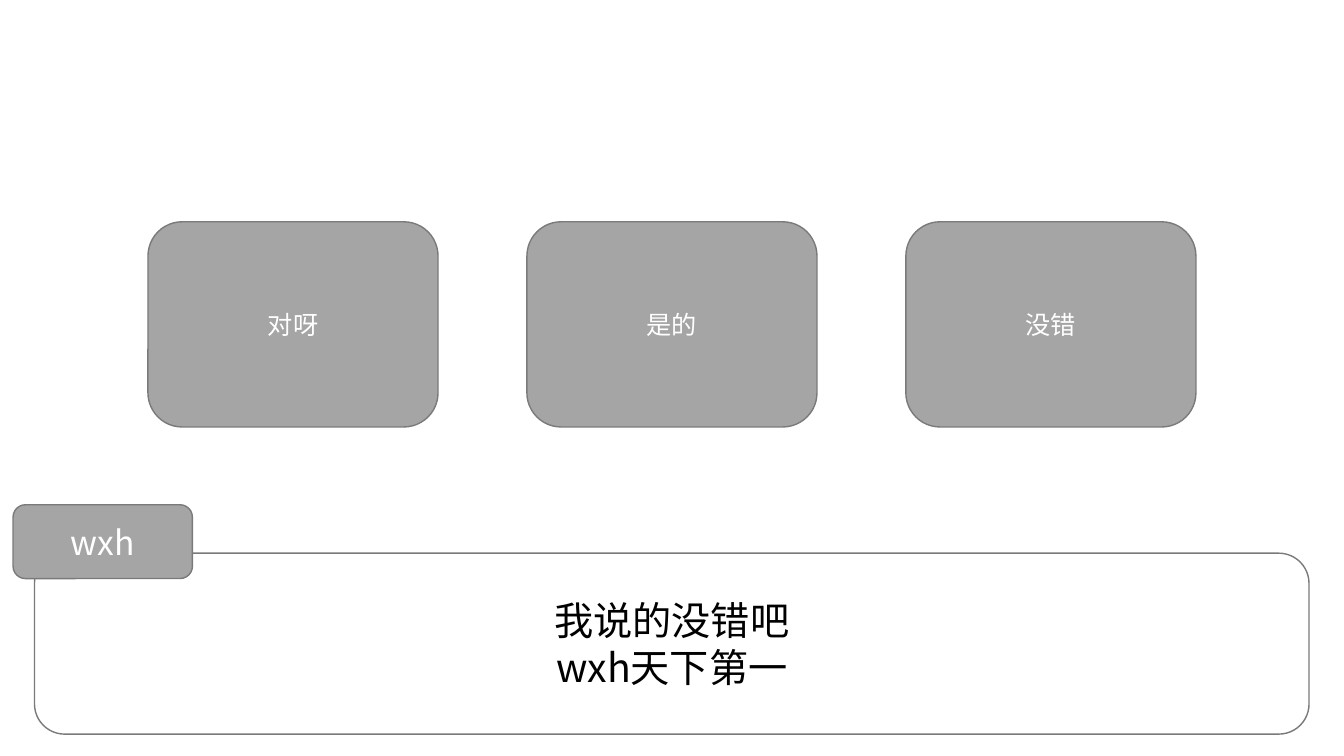
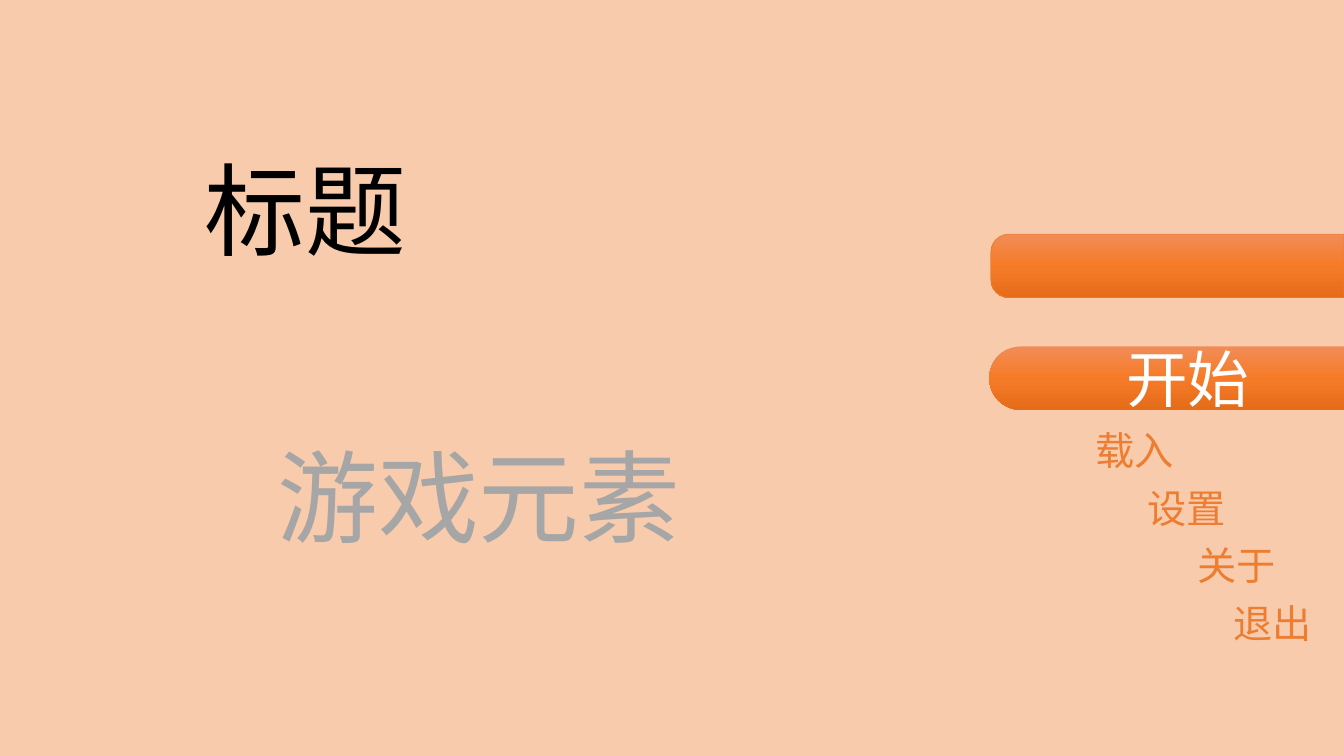
from lxml import etree
from pptx import Presentation
from pptx.dml.color import RGBColor
from pptx.enum.shapes import MSO_SHAPE
from pptx.enum.text import MSO_ANCHOR, MSO_AUTO_SIZE, PP_ALIGN
from pptx.oxml.ns import qn
from pptx.util import Cm, Pt

ROUNDED = MSO_SHAPE.ROUNDED_RECTANGLE
TOP_ROUNDED = MSO_SHAPE.ROUND_2_SAME_RECTANGLE
MIDDLE = MSO_ANCHOR.MIDDLE
TOP = MSO_ANCHOR.TOP
CENTER = PP_ALIGN.CENTER
LEFT = PP_ALIGN.LEFT
NO_AUTOFIT = MSO_AUTO_SIZE.NONE

FONT = "Noto Sans CJK SC"
WHITE = RGBColor(0xFF, 0xFF, 0xFF)
BLACK = RGBColor(0x00, 0x00, 0x00)
GRAY = RGBColor(0xA5, 0xA5, 0xA5)
LIGHT_GRAY = RGBColor(0xA6, 0xA6, 0xA6)
OUTLINE = RGBColor(0x7A, 0x7A, 0x7A)
ORANGE = RGBColor(0xED, 0x7D, 0x31)
PEACH = RGBColor(0xF8, 0xCB, 0xAD)
GRADIENT = (
    (0, RGBColor(0xF1, 0x8C, 0x57)),
    (50, RGBColor(0xF6, 0x7B, 0x28)),
    (100, RGBColor(0xE5, 0x6C, 0x19)),
)

TITLE_ONLY_LAYOUT = 5
BLANK_LAYOUT = 6


def write_text(shape, lines, size, color, align=CENTER, anchor=MIDDLE):
    frame = shape.text_frame
    frame.word_wrap = True
    frame.auto_size = NO_AUTOFIT
    frame.vertical_anchor = anchor
    frame.text = "\n".join(lines)
    for para in frame.paragraphs:
        para.alignment = align
        para.font.size = Pt(size)
        para.font.name = FONT
        para.font.color.rgb = color
    for latin in shape.element.xpath(".//a:defRPr/a:latin"):
        east_asian = etree.Element(qn("a:ea"), typeface=FONT)
        latin.addnext(east_asian)


def add_panel(page, box, fill=None, line=None, line_width=1, kind=ROUNDED):
    shape = page.shapes.add_shape(kind, *(Cm(length) for length in box))
    shape.shadow.inherit = False
    if fill is None:
        shape.fill.background()
    else:
        shape.fill.solid()
        shape.fill.fore_color.rgb = fill
    if line is None:
        shape.line.fill.background()
    else:
        shape.line.color.rgb = line
        shape.line.width = Pt(line_width)
    return shape


def set_opacity(shape, percent):
    color = shape.element.spPr.find(qn("a:solidFill"))[0]
    etree.SubElement(color, qn("a:alpha"), val=str(percent * 1000))


def set_gradient(shape, angle):
    shape.fill.gradient()
    shape.fill.gradient_angle = angle
    stops = shape.element.spPr.find(qn("a:gradFill")).find(qn("a:gsLst"))
    for stop in list(stops):
        stops.remove(stop)
    for position, color in GRADIENT:
        stop = etree.SubElement(stops, qn("a:gs"), pos=str(position * 1000))
        etree.SubElement(stop, qn("a:srgbClr"), val=str(color))


def set_background(page, color):
    page.background.fill.solid()
    page.background.fill.fore_color.rgb = color


def add_dialogue(page, box, speaker, lines):
    left, top, width, height = box
    speech = add_panel(page, box, WHITE, OUTLINE)
    set_opacity(speech, 60)
    write_text(speech, lines, 28, BLACK)
    name_tag = add_panel(page, (left - 0.54, top - 1.22, 4.52, 1.86), GRAY, OUTLINE)
    write_text(name_tag, [speaker], 24, WHITE)


def add_choices(page, box, choices):
    left, top, width, height = box
    card_width = 7.31
    step = (width - card_width) / (len(choices) - 1)
    for index, choice in enumerate(choices):
        card = add_panel(page, (left + index * step, top, card_width, height), GRAY, OUTLINE)
        write_text(card, [choice], 18, WHITE)


def add_menu(page, box, start, items):
    left, top, width, height = box
    button = add_panel(page, box)
    button.adjustments[0] = 0.5
    set_gradient(button, 270)
    write_text(button, [start], 44, WHITE)
    for row, (label, indent) in enumerate(items):
        item_top = top + 2.03 + row * 1.45
        item = add_panel(page, (left + indent, item_top, 5.33, 1.17))
        write_text(item, [label], 28, ORANGE)


def add_edge_bar(page, box):
    left, top, width, height = box
    turned = (left + (width - height) / 2, top - (width - height) / 2, height, width)
    bar = add_panel(page, turned, line=ORANGE, line_width=0.5, kind=TOP_ROUNDED)
    bar.rotation = 270
    bar.adjustments[0] = 0.286
    bar.adjustments[1] = 0
    set_gradient(bar, 180)


def place_heading(shape, box, text, color):
    shape.left, shape.top, shape.width, shape.height = (Cm(length) for length in box)
    write_text(shape, [text], 72, color, LEFT, TOP)


def build_dialogue_page(deck):
    page = deck.slides.add_slide(deck.slide_layouts[BLANK_LAYOUT])
    set_background(page, WHITE)
    add_dialogue(page, (0.87, 13.94, 32.12, 4.56), "wxh", ["我说的没错吧", "wxh天下第一"])
    add_choices(page, (3.73, 5.59, 26.41, 5.17), ["对呀", "是的", "没错"])


def build_menu_page(deck):
    page = deck.slides.add_slide(deck.slide_layouts[TITLE_ONLY_LAYOUT])
    set_background(page, PEACH)
    place_heading(page.shapes.title, (4.9, 3.6, 12.04, 3.33), "标题", BLACK)
    subtitle = page.shapes.add_textbox(0, 0, 0, 0)
    place_heading(subtitle, (6.74, 10.84, 12.04, 3.33), "游戏元素", LIGHT_GRAY)
    items = [("载入", 1), ("设置", 2.3), ("关于", 3.58), ("退出", 4.47)]
    add_menu(page, (24.93, 8.73, 10.01, 1.6), "开始", items)
    add_edge_bar(page, (24.97, 5.9, 8.9, 1.6))


def main():
    deck = Presentation()
    deck.slide_width = Cm(33.87)
    deck.slide_height = Cm(19.05)
    build_dialogue_page(deck)
    build_menu_page(deck)
    deck.save("out.pptx")


if __name__ == "__main__":
    main()
